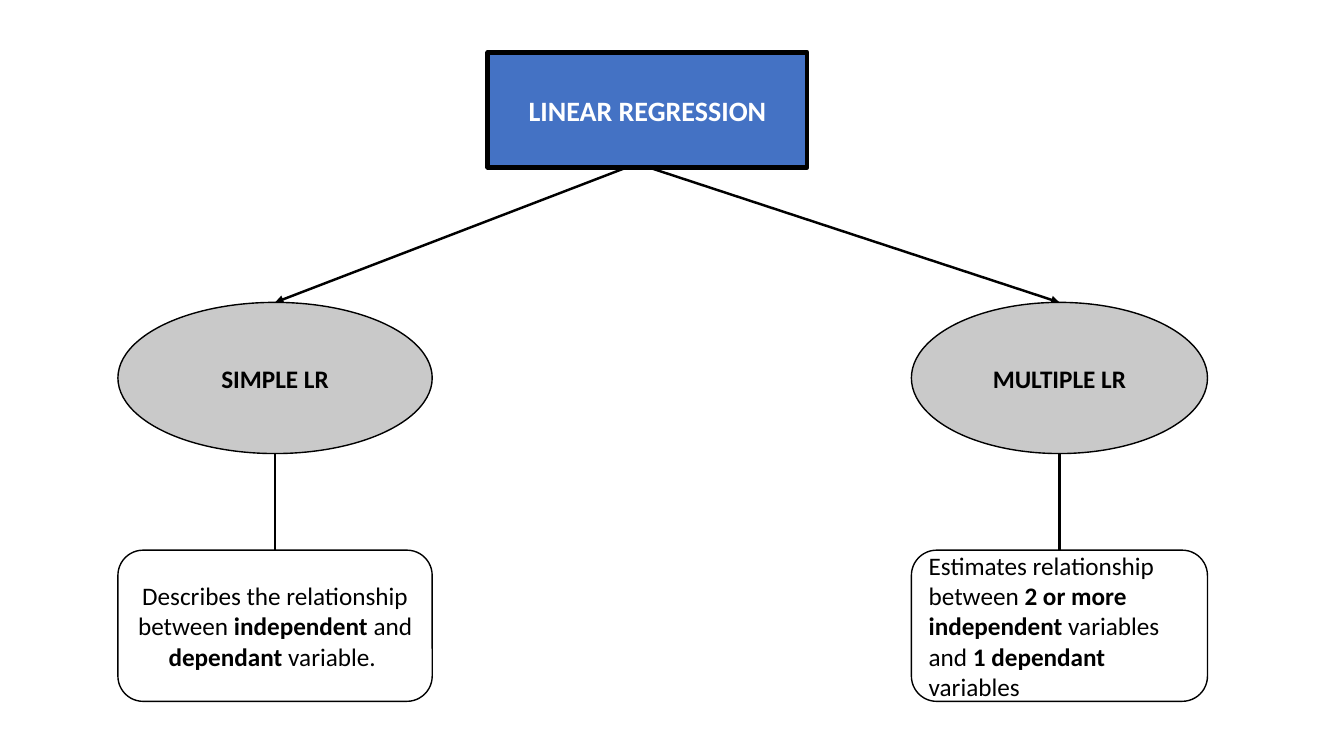
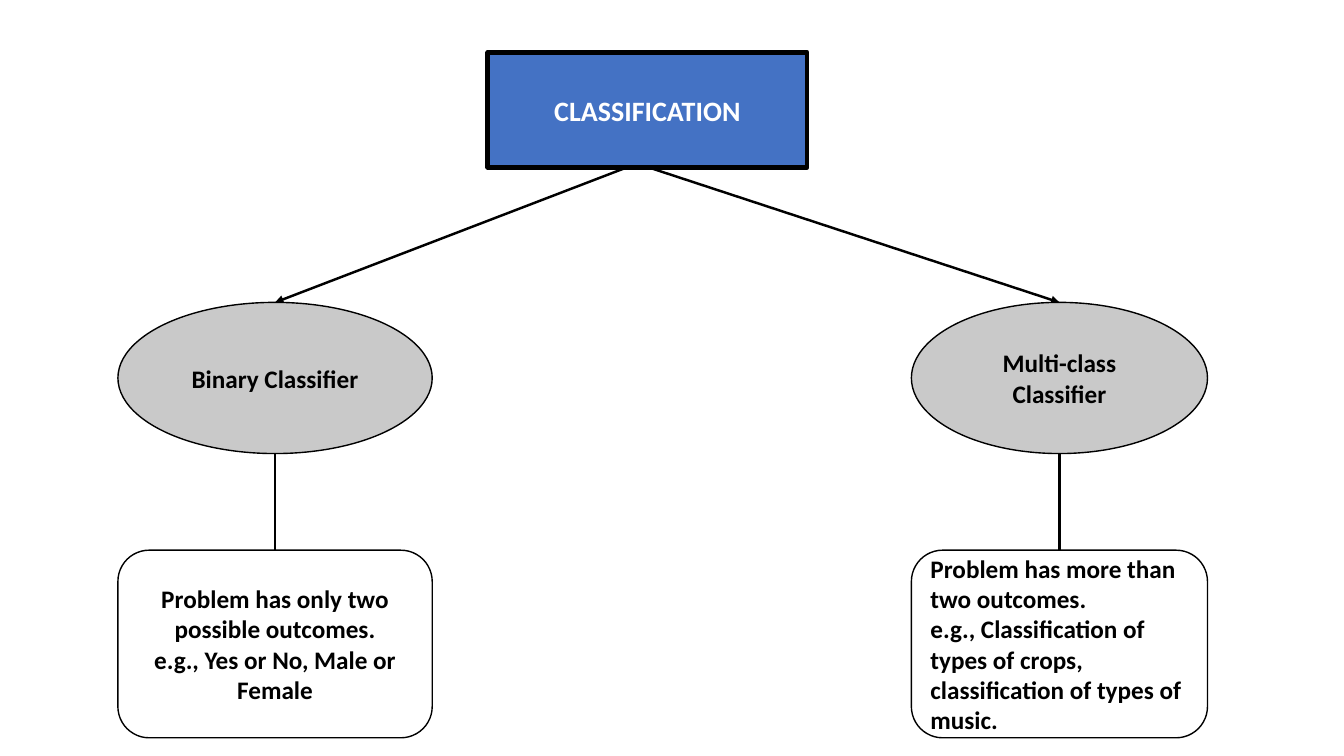
import pptx
import pptx.dml.color
import pptx.enum.shapes
import pptx.enum.text
import pptx.oxml
import pptx.oxml.ns
import pptx.util

Pt = pptx.util.Pt
SHAPE = pptx.enum.shapes.MSO_SHAPE
ALIGN = pptx.enum.text.PP_ALIGN

BLACK, WHITE, BLUE, GREY = "000000", "FFFFFF", "4472C4", "C9C9C9"
ROOT = (348.5, 37.5, 228, 82)
ROOT_BOTTOM = 119.5
OVAL_TOP, OVAL_HEIGHT = 216, 108
BOX_TOP = 393

# Left edge, width, arrow start and description alignment of each branch
BRANCHES = [
    (84.25, 224.5, 448, ALIGN.CENTER),
    (651, 211.5, 463, ALIGN.LEFT),
]

# Asterisks enclose bold words
SLIDES = [
    ("LINEAR REGRESSION", 108, [
        ("SIMPLE LR",
         ["Describes the relationship between *independent* and *dependant* variable. "]),
        ("MULTIPLE LR",
         ["Estimates relationship between *2 or more independent *variables and "
          "*1 dependant *variables"]),
    ]),
    ("CLASSIFICATION", 134, [
        ("Binary Classifier",
         ["*Problem has only two possible outcomes.*",
          "*e.g., Yes or No, Male or Female*"]),
        ("Multi-class Classifier",
         ["*Problem has more than two outcomes.*",
          "*e.g., Classification of types of crops, classification of types of music.*"]),
    ]),
]


def style_node(sp, fill, line_width, lines, size, color, align):
    """Paint a shape and fill it with lines whose *marked* words are bold."""
    sp.fill.solid()
    sp.fill.fore_color.rgb = pptx.dml.color.RGBColor.from_string(fill)
    sp.line.color.rgb = pptx.dml.color.RGBColor.from_string(BLACK)
    sp.line.width = Pt(line_width)
    tf = sp.text_frame
    tf.word_wrap = True
    tf.auto_size = pptx.enum.text.MSO_AUTO_SIZE.NONE
    tf.vertical_anchor = pptx.enum.text.MSO_ANCHOR.MIDDLE
    for i, line in enumerate(lines):
        p = tf.add_paragraph() if i else tf.paragraphs[0]
        p.alignment = align
        for j, part in enumerate(line.split("*")):
            if part:
                r = p.add_run()
                r.text = part
                r.font.name = "Calibri"
                r.font.size = Pt(size)
                r.font.bold = j % 2 == 1
                r.font.color.rgb = pptx.dml.color.RGBColor.from_string(color)


def add_line(s, x1, y1, x2, y2, arrow=False):
    line = s.shapes.add_connector(pptx.enum.shapes.MSO_CONNECTOR.STRAIGHT,
                                  Pt(x1), Pt(y1), Pt(x2), Pt(y2))
    line.line.color.rgb = pptx.dml.color.RGBColor.from_string(BLACK)
    line.line.width = Pt(1.75)
    if arrow:
        ln = line.line._get_or_add_ln()
        ln.append(pptx.oxml.parse_xml(
            f'<a:tailEnd {pptx.oxml.ns.nsdecls("a")} type="triangle"/>'))
    line._element.spPr.append(pptx.oxml.parse_xml(
        f'<a:effectLst {pptx.oxml.ns.nsdecls("a")}/>'))


prs = pptx.Presentation()
prs.slide_width, prs.slide_height = Pt(960), Pt(540)

for title, box_height, branches in SLIDES:
    s = prs.slides.add_slide(prs.slide_layouts.get_by_name("Title Only"))
    root = s.shapes.title
    root.left, root.top, root.width, root.height = map(Pt, ROOT)
    style_node(root, BLUE, 3.5, [f"*{title}*"], 20, WHITE, ALIGN.CENTER)

    for (left, width, start, align), (name, lines) in zip(BRANCHES, branches):
        center = left + width / 2
        add_line(s, start, ROOT_BOTTOM, center, OVAL_TOP, arrow=True)
        add_line(s, center, OVAL_TOP + OVAL_HEIGHT, center, BOX_TOP)

        oval = s.shapes.add_shape(SHAPE.OVAL, Pt(left), Pt(OVAL_TOP),
                                  Pt(width), Pt(OVAL_HEIGHT))
        oval.shadow.inherit = False
        style_node(oval, GREY, 1, [f"*{name}*"], 18, BLACK, ALIGN.CENTER)

        box = s.shapes.add_shape(SHAPE.ROUNDED_RECTANGLE, Pt(left), Pt(BOX_TOP),
                                 Pt(width), Pt(box_height))
        box.shadow.inherit = False
        style_node(box, WHITE, 1, lines, 18, BLACK, align)

prs.save("out.pptx")
